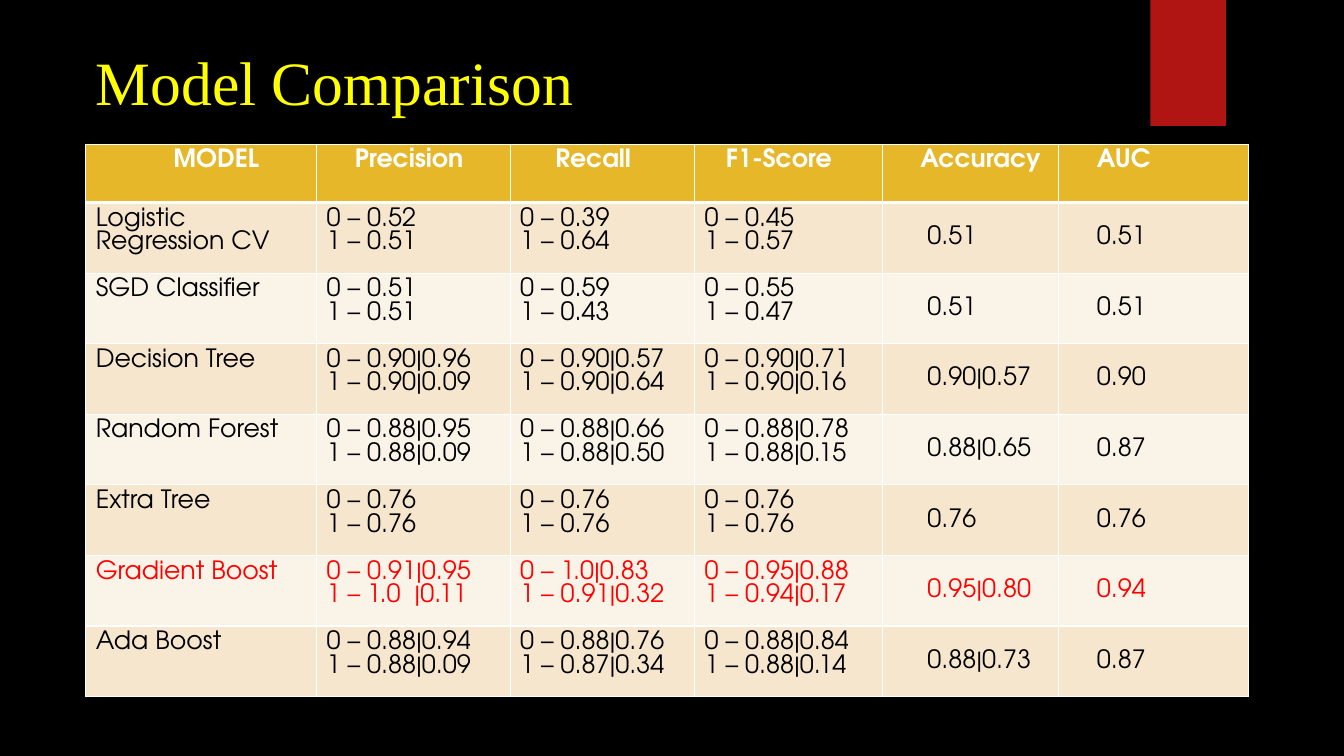
from dataclasses import dataclass

from lxml import etree
from pptx import Presentation
from pptx.dml.color import RGBColor
from pptx.enum.shapes import MSO_SHAPE
from pptx.enum.text import MSO_ANCHOR, PP_ALIGN
from pptx.oxml.ns import qn
from pptx.util import Inches, Pt

RECTANGLE = MSO_SHAPE.RECTANGLE
TOP, MIDDLE = MSO_ANCHOR.TOP, MSO_ANCHOR.MIDDLE
LEFT = PP_ALIGN.LEFT
TITLE_ONLY = 5


@dataclass(frozen=True)
class Theme:
    background: str = "000000"
    title: str = "FFFF00"
    ribbon: str = "B01513"
    header: str = "E6B729"
    header_text: str = "FFFFFF"
    bands: tuple = ("F5E6CD", "FAF3E8")
    text: str = "000000"
    best: str = "FF0000"
    border: str = "FFFFFF"
    title_font: str = "Times New Roman"
    table_font: str = "TeX Gyre Adventor"
    title_size: int = 44
    table_size: int = 18


THEME = Theme()

COLUMN_WIDTHS = [2.29, 1.92, 1.83, 1.86, 1.75, 1.88]
HEADER_HEIGHT, ROW_HEIGHT = 0.58, 0.7
CELL_MARGIN = 0.1
HEADER_INDENTS = [0.77, 0.28, 0.35, 0.21, 0.28, 0.28]
BODY_INDENTS = [0, 0, 0, 0, 0.35, 0.28]
FIRST_CENTRED_COLUMN = 4
BEST_MODEL = "Gradient Boost"

HEADERS = ["MODEL", "Precision", "Recall", "F1-Score", "Accuracy", "AUC"]
MODELS = [
    ["Logistic Regression CV", "0 – 0.52\n1 – 0.51", "0 – 0.39\n1 – 0.64",
     "0 – 0.45\n1 – 0.57", "0.51", "0.51"],
    ["SGD Classifier", "0 – 0.51\n1 – 0.51", "0 – 0.59\n1 – 0.43",
     "0 – 0.55\n1 – 0.47", "0.51", "0.51"],
    ["Decision Tree", "0 – 0.90|0.96\n1 – 0.90|0.09", "0 – 0.90|0.57\n1 – 0.90|0.64",
     "0 – 0.90|0.71\n1 – 0.90|0.16", "0.90|0.57", "0.90"],
    ["Random Forest", "0 – 0.88|0.95\n1 – 0.88|0.09", "0 – 0.88|0.66\n1 – 0.88|0.50",
     "0 – 0.88|0.78\n1 – 0.88|0.15", "0.88|0.65", "0.87"],
    ["Extra Tree", "0 – 0.76\n1 – 0.76", "0 – 0.76\n1 – 0.76",
     "0 – 0.76\n1 – 0.76", "0.76", "0.76"],
    ["Gradient Boost", "0 – 0.91|0.95\n1 – 1.0  |0.11", "0 – 1.0|0.83\n1 – 0.91|0.32",
     "0 – 0.95|0.88\n1 – 0.94|0.17", "0.95|0.80", "0.94"],
    ["Ada Boost", "0 – 0.88|0.94\n1 – 0.88|0.09", "0 – 0.88|0.76\n1 – 0.87|0.34",
     "0 – 0.88|0.84\n1 – 0.88|0.14", "0.88|0.73", "0.87"],
]


def rgb(color):
    return RGBColor.from_string(color)


def style_font(p, name, size, color, bold=False):
    p.font.name = name
    p.font.size = Pt(size)
    p.font.color.rgb = rgb(color)
    p.font.bold = bold


def add_title(s, text):
    title = s.shapes.title
    title.left, title.top = Inches(0.85), Inches(0.38)
    title.width, title.height = Inches(5.82), Inches(0.84)
    tf = title.text_frame
    tf.text = text
    tf.vertical_anchor = MIDDLE
    p = tf.paragraphs[0]
    p.alignment = LEFT
    style_font(p, THEME.title_font, THEME.title_size, THEME.title)


def add_ribbon(s):
    ribbon = s.shapes.add_shape(RECTANGLE, Inches(11.41), 0, Inches(0.75), Inches(1.25))
    ribbon.shadow.inherit = False
    ribbon.fill.solid()
    ribbon.fill.fore_color.rgb = rgb(THEME.ribbon)
    ribbon.line.fill.background()


def set_borders(cell, top, bottom):
    """Draw all four sides; top and bottom are widths in points."""
    tc_pr = cell._tc.get_or_add_tcPr()
    for side, width in (("L", 1), ("R", 1), ("T", top), ("B", bottom)):
        ln = etree.SubElement(tc_pr, qn(f"a:ln{side}"), w=str(Pt(width)))
        fill = etree.SubElement(ln, qn("a:solidFill"))
        etree.SubElement(fill, qn("a:srgbClr"), val=THEME.border)


def fill_cell(cell, text, fill, color, indent, anchor=TOP, bold=False):
    cell.fill.solid()
    cell.fill.fore_color.rgb = rgb(fill)
    cell.margin_left = Inches(CELL_MARGIN + indent)
    cell.vertical_anchor = anchor
    cell.text_frame.text = text
    for p in cell.text_frame.paragraphs:
        style_font(p, THEME.table_font, THEME.table_size, color, bold)


def add_model_table(s):
    height = HEADER_HEIGHT + ROW_HEIGHT * len(MODELS)
    frame = s.shapes.add_table(len(MODELS) + 1, len(HEADERS), Inches(0.85), Inches(1.43),
                               Inches(sum(COLUMN_WIDTHS)), Inches(height))
    table = frame.table
    for column, width in zip(table.columns, COLUMN_WIDTHS):
        column.width = Inches(width)
    for i, row in enumerate(table.rows):
        row.height = Inches(ROW_HEIGHT if i else HEADER_HEIGHT)

    for j, (text, indent) in enumerate(zip(HEADERS, HEADER_INDENTS)):
        cell = table.cell(0, j)
        set_borders(cell, top=1, bottom=3)
        fill_cell(cell, text, THEME.header, THEME.header_text, indent, bold=True)

    for i, model in enumerate(MODELS):
        band = THEME.bands[i % 2]
        color = THEME.best if model[0] == BEST_MODEL else THEME.text
        for j, (text, indent) in enumerate(zip(model, BODY_INDENTS)):
            cell = table.cell(i + 1, j)
            set_borders(cell, top=1 if i else 3, bottom=1)
            anchor = MIDDLE if j >= FIRST_CENTRED_COLUMN else TOP
            fill_cell(cell, text, band, color, indent, anchor)


def main():
    prs = Presentation()
    prs.slide_width, prs.slide_height = Inches(13.33), Inches(7.5)
    s = prs.slides.add_slide(prs.slide_layouts[TITLE_ONLY])
    s.background.fill.solid()
    s.background.fill.fore_color.rgb = rgb(THEME.background)
    add_ribbon(s)
    add_title(s, "Model Comparison")
    add_model_table(s)
    prs.save("out.pptx")


if __name__ == "__main__":
    main()
